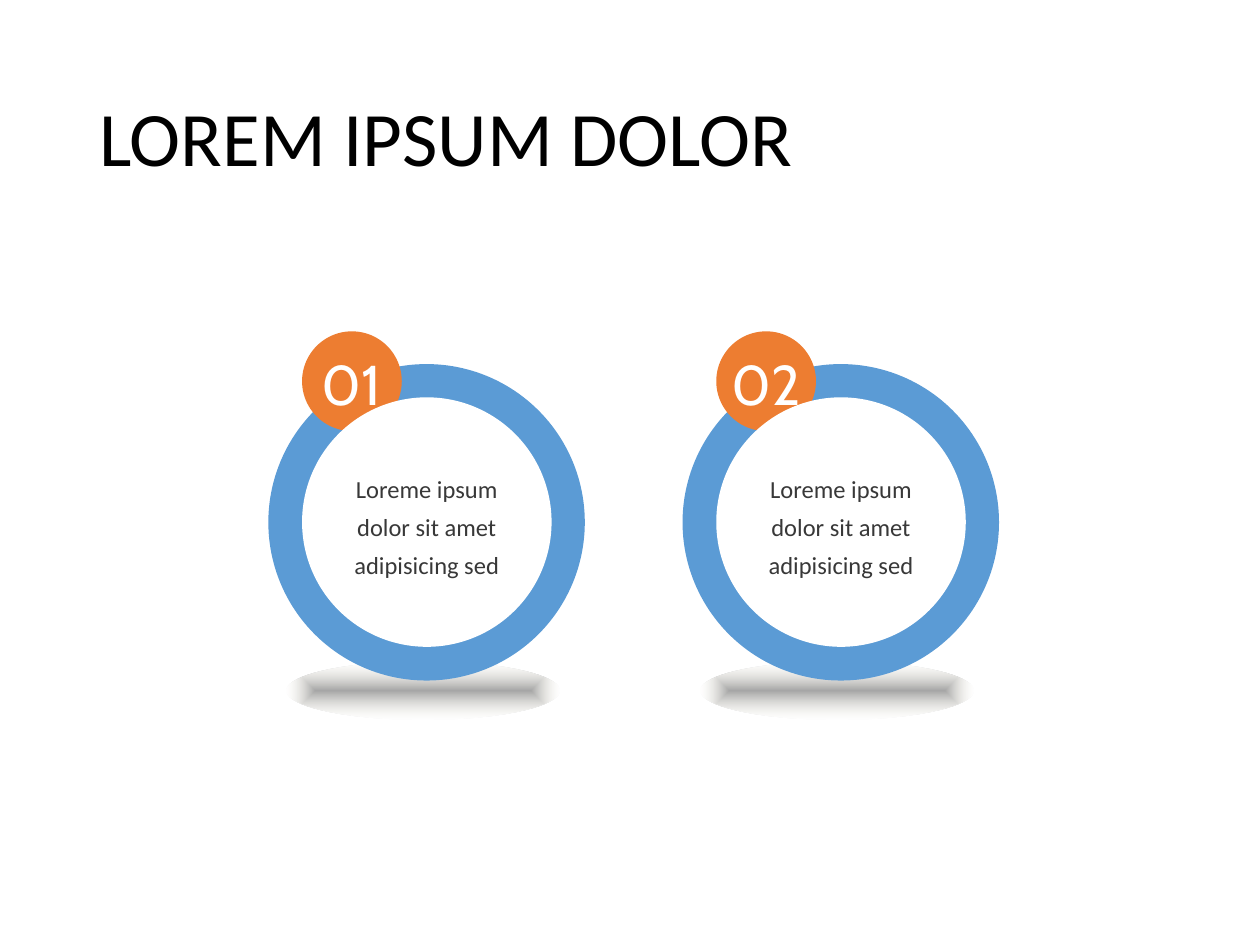
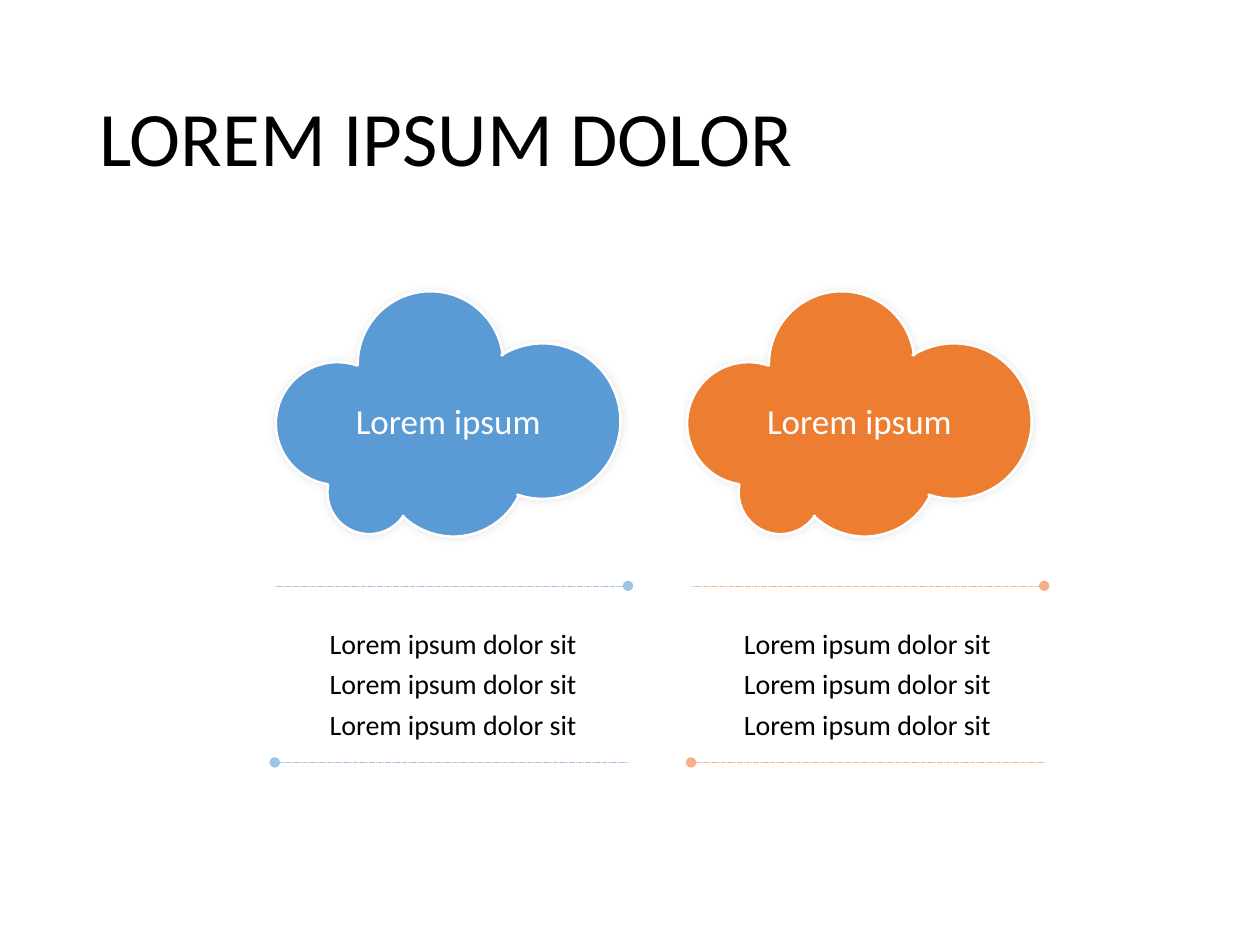
from math import cos, radians, sin

from pptx import Presentation
from pptx.dml.color import RGBColor
from pptx.enum.dml import MSO_LINE
from pptx.enum.shapes import MSO_CONNECTOR, MSO_SHAPE
from pptx.enum.text import MSO_ANCHOR, PP_ALIGN
from pptx.oxml import parse_xml
from pptx.oxml.ns import nsdecls, qn
from pptx.util import Cm, Pt

OVAL = MSO_SHAPE.OVAL
LINE = MSO_CONNECTOR.STRAIGHT
DASH = MSO_LINE.SQUARE_DOT
MIDDLE = MSO_ANCHOR.MIDDLE
CENTER = PP_ALIGN.CENTER
LEFT = PP_ALIGN.LEFT

BLUE = RGBColor(0x5B, 0x9B, 0xD5)
ORANGE = RGBColor(0xED, 0x7D, 0x31)
SKY = RGBColor(0x9D, 0xC3, 0xE6)
PEACH = RGBColor(0xF4, 0xB1, 0x83)
WHITE = RGBColor(0xFF, 0xFF, 0xFF)
BLACK = RGBColor(0, 0, 0)
GREY = RGBColor(0x38, 0x38, 0x38)

TITLE = "LOREM IPSUM DOLOR"
STEP = 8.35  # from one column to the next, in cm

# Cloud lobes, clockwise: centre x, centre y, radius, first and last angle
LOBES = [
    (1.24, 2.67, 1.24, 99, 289),
    (3.12, 1.47, 1.47, 180, 353),
    (5.38, 2.62, 1.57, 238, 469),
    (3.58, 3.48, 1.47, 26, 134),
    (1.88, 4.06, 0.84, 34, 190),
]

FADE = f"""<a:gradFill {nsdecls('a')} rotWithShape="1"><a:gsLst>
<a:gs pos="0"><a:srgbClr val="A6A6A6"/></a:gs>
<a:gs pos="100000"><a:srgbClr val="EEECE1"><a:alpha val="0"/></a:srgbClr></a:gs>
</a:gsLst><a:path path="shape">
<a:fillToRect l="50000" t="50000" r="50000" b="50000"/></a:path></a:gradFill>"""

GLOW = f"""<a:outerShdw {nsdecls('a')} blurRad="63500" dist="0" dir="0"
algn="ctr" rotWithShape="0"><a:srgbClr val="000000"><a:alpha val="10000"/>
</a:srgbClr></a:outerShdw>"""


def write(shape, lines, size, color, font="Calibri", align=CENTER,
          space=1.0, pad=(0, 0, 0, 0)):
    """Fill a shape's text frame; pad is left, top, right, bottom in cm."""
    frame = shape.text_frame
    left, top, right, bottom = (Cm(side) for side in pad)
    form = {"word_wrap": True, "vertical_anchor": MIDDLE,
            "margin_left": left, "margin_top": top,
            "margin_right": right, "margin_bottom": bottom}
    for key, value in form.items():
        setattr(frame, key, value)
    frame.text = "\n".join(lines)
    for para in frame.paragraphs:
        para.alignment = align
        para.line_spacing = space
        for key, value in {"name": font, "size": Pt(size)}.items():
            setattr(para.font, key, value)
        para.font.color.rgb = color


def add_text(slide, box, lines, size, **form):
    shape = slide.shapes.add_textbox(*(Cm(n) for n in box))
    write(shape, lines, size, BLACK, **form)


def add_title(slide):
    add_text(slide, (1.75, 1.02, 21.89, 3.68), [TITLE], 44,
             align=LEFT, space=0.9, pad=(0.25, 0.13, 0.25, 0.13))


def add_disc(slide, left, top, wide, high, color=None):
    """Ellipse in one colour, or a fading floor shade without one."""
    disc = slide.shapes.add_shape(OVAL, Cm(left), Cm(top), Cm(wide), Cm(high))
    disc.shadow.inherit = False
    disc.line.fill.background()
    if color is None:
        geom = disc._element.spPr.find(qn("a:prstGeom"))
        geom.addnext(parse_xml(FADE))
    else:
        disc.fill.solid()
        disc.fill.fore_color.rgb = color
    return disc


def add_ring(slide, left, label, text):
    add_disc(slide, left + 0.36, 13.34, 5.51, 1.17)
    add_disc(slide, left, 7.34, 6.38, 6.38, BLUE)
    badge = add_disc(slide, left + 0.68, 6.68, 2.01, 2.01, ORANGE)
    write(badge, [label], 32, WHITE, font="Cabin", space=1.5,
          pad=(0, 0, 0, 0.61))
    core = add_disc(slide, left + 0.68, 8.01, 5.03, 5.03, WHITE)
    write(core, [text], 14, GREY, space=1.3)


def add_cloud(slide, left, top, color, text):
    dots = []
    for x, y, size, first, last in LOBES:
        count = (last - first) // 5
        for i in range(count + 1):
            turn = radians(first + (last - first) * i / count)
            dots.append((Cm(left + x + size * cos(turn)),
                         Cm(top + y + size * sin(turn))))
    pen = slide.shapes.build_freeform(*dots[0])
    pen.add_line_segments(dots[1:], close=True)
    cloud = pen.convert_to_shape()
    cloud.shadow.inherit = False
    cloud._element.spPr.find(qn("a:effectLst")).append(parse_xml(GLOW))
    cloud.fill.solid()
    cloud.fill.fore_color.rgb = color
    cloud.line.color.rgb = WHITE
    cloud.line.width = Pt(1.5)
    write(cloud, [text], 20, WHITE, pad=(0.25, 0.41, 0.25, 0.13))


def add_rule(slide, left, top, color, end):
    """Dashed rule with a dot at its headEnd or tailEnd."""
    rule = slide.shapes.add_connector(
        LINE, Cm(left), Cm(top), Cm(left + 7.12), Cm(top))
    rule.line.color.rgb = color
    rule.line.width = Pt(0.25)
    rule.line.dash_style = DASH
    rule.line._get_or_add_ln().append(
        parse_xml(f'<a:{end} {nsdecls("a")} type="oval"/>'))
    rule._element.spPr.append(parse_xml(f'<a:effectLst {nsdecls("a")}/>'))


def main():
    deck = Presentation()
    deck.slide_width, deck.slide_height = Cm(25.4), Cm(19.05)
    blank = deck.slide_layouts[6]

    # Numbered rings
    rings = deck.slides.add_slide(blank)
    for i, label in enumerate(["01", "02"]):
        add_ring(rings, 5.41 + i * STEP, label,
                 "Loreme ipsum dolor sit amet adipisicing sed")
    add_title(rings)

    # Clouds with ruled notes below
    clouds = deck.slides.add_slide(blank)
    for i, (dark, light) in enumerate([(BLUE, SKY), (ORANGE, PEACH)]):
        add_cloud(clouds, 5.56 + i * 8.29, 5.87, dark, "Lorem ipsum")
        for top, end in [(11.81, "tailEnd"), (15.37, "headEnd")]:
            add_rule(clouds, 5.54 + i * 8.39, top, light, end)
        add_text(clouds, (5.26 + i * STEP, 11.89, 7.75, 3.48),
                 ["Lorem ipsum dolor sit"] * 3, 16, space=1.2,
                 pad=(0.25, 0.3, 0.25, 0.13))
    add_title(clouds)

    deck.save("out.pptx")


if __name__ == "__main__":
    main()
